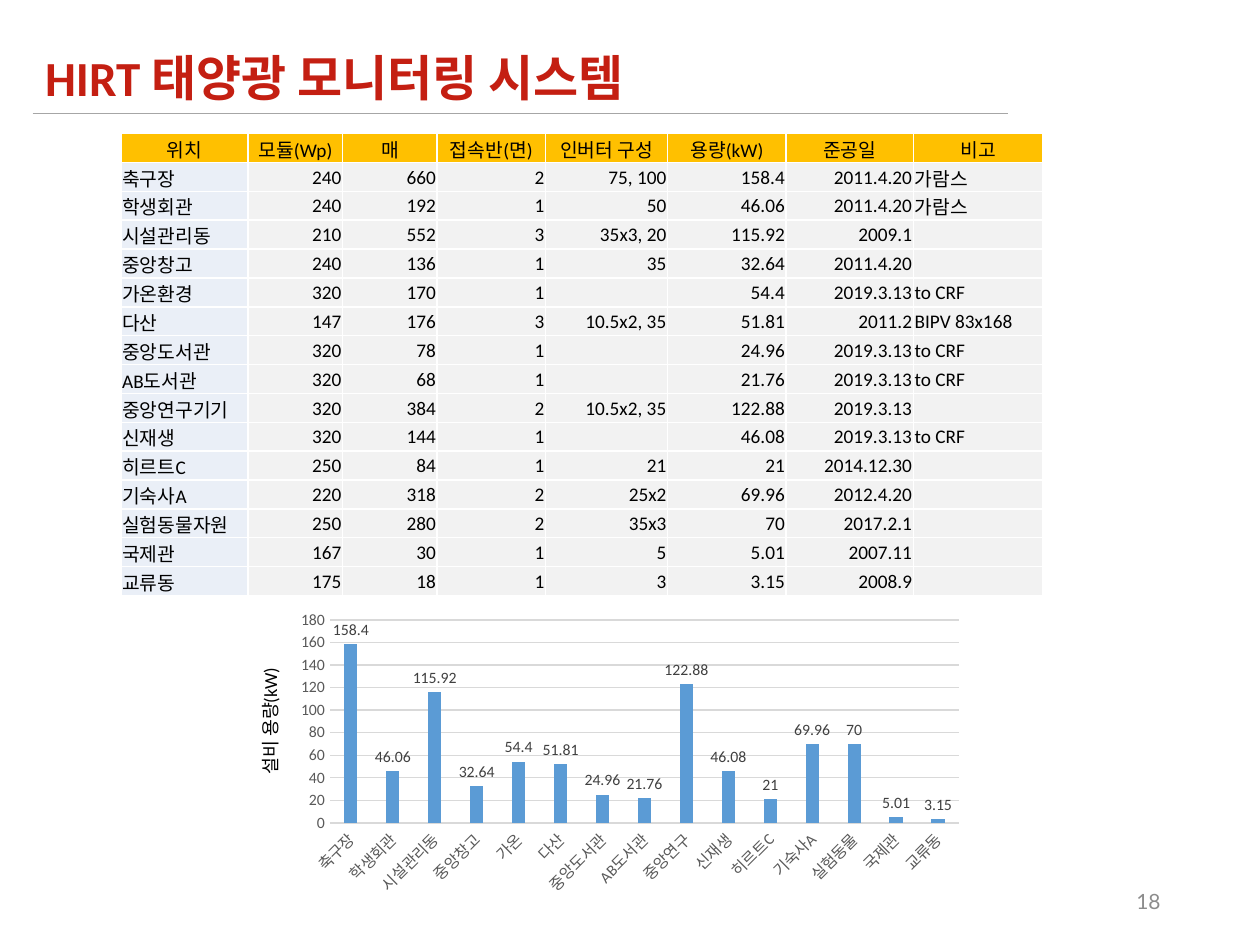
from dataclasses import dataclass

from lxml.etree import SubElement
from pptx import Presentation
from pptx.chart.data import CategoryChartData
from pptx.dml.color import RGBColor
from pptx.enum.chart import XL_CHART_TYPE as ChartType, XL_LABEL_POSITION as LabelPos
from pptx.enum.chart import XL_TICK_MARK as Tick
from pptx.enum.shapes import MSO_CONNECTOR
from pptx.enum.text import MSO_ANCHOR as Anchor, PP_ALIGN as Align
from pptx.oxml.ns import qn
from pptx.util import Inches, Pt

COLORS = {
    "title": "C41F12", "rule": "A6A6A6", "page": "8C8C8C", "text": "000000",
    "header": "FFC000", "place": "EAEFF7", "body": "F2F2F2", "border": "FFFFFF",
    "bar": "5B9BD5", "grid": "D9D9D9", "axis": "595959", "label": "404040",
}
FONT = "Calibri"
SLIDE_W, SLIDE_H = Inches(10), Inches(7.5)
GRID_COLS, GRID_ROWS = 100, 75


@dataclass(frozen=True)
class Box:
    """Place on the slide, in grid columns and rows."""
    col: float
    row: float
    cols: float
    rows: float

    def emu(self) -> tuple[int, int, int, int]:
        return x(self.col), y(self.row), x(self.cols), y(self.rows)


@dataclass(frozen=True)
class Label:
    text: str
    box: Box
    size: float
    color: str
    font: str = FONT
    bold: bool = False
    align: Align = Align.LEFT
    anchor: Anchor = Anchor.TOP
    rotation: int = 0
    wrap: bool = True


@dataclass(frozen=True)
class Plant:
    place: str
    module: str
    panels: str
    boxes: str
    inverter: str
    kw: str
    built: str
    note: str = ""
    short: str = ""

    def cells(self) -> list[str]:
        return [self.place, self.module, self.panels, self.boxes,
                self.inverter, self.kw, self.built, self.note]


LABELS = [
    Label("18", Box(70.6, 69.5, 22.5, 4), 12, "page", "Lato",
          align=Align.RIGHT, anchor=Anchor.MIDDLE),
    Label("HIRT 태양광 모니터링 시스템", Box(2.6, 3.3, 88.4, 5.7), 28, "title", bold=True),
    Label("설비 용량(kW)", Box(15.9, 55.5, 11.1, 2.8), 10.5, "text", rotation=270, wrap=False),
]
HEADERS = ["위치", "모듈(Wp)", "매", "접속반(면)", "인버터 구성", "용량(kW)", "준공일", "비고"]
COL_WIDTHS = [10.1, 7.5, 7.5, 8.6, 9.7, 9.4, 10.1, 10.3]
PLANTS = [
    Plant("축구장", "240", "660", "2", "75, 100", "158.4", "2011.4.20", "가람스"),
    Plant("학생회관", "240", "192", "1", "50", "46.06", "2011.4.20", "가람스"),
    Plant("시설관리동", "210", "552", "3", "35x3, 20", "115.92", "2009.1"),
    Plant("중앙창고", "240", "136", "1", "35", "32.64", "2011.4.20"),
    Plant("가온환경", "320", "170", "1", "", "54.4", "2019.3.13", "to CRF", "가온"),
    Plant("다산", "147", "176", "3", "10.5x2, 35", "51.81", "2011.2", "BIPV 83x168"),
    Plant("중앙도서관", "320", "78", "1", "", "24.96", "2019.3.13", "to CRF"),
    Plant("AB도서관", "320", "68", "1", "", "21.76", "2019.3.13", "to CRF"),
    Plant("중앙연구기기", "320", "384", "2", "10.5x2, 35", "122.88", "2019.3.13", short="중앙연구"),
    Plant("신재생", "320", "144", "1", "", "46.08", "2019.3.13", "to CRF"),
    Plant("히르트C", "250", "84", "1", "21", "21", "2014.12.30"),
    Plant("기숙사A", "220", "318", "2", "25x2", "69.96", "2012.4.20"),
    Plant("실험동물자원", "250", "280", "2", "35x3", "70", "2017.2.1", short="실험동물"),
    Plant("국제관", "167", "30", "1", "5", "5.01", "2007.11"),
    Plant("교류동", "175", "18", "1", "3", "3.15", "2008.9"),
]


def x(cols: float) -> int:
    return round(SLIDE_W * cols / GRID_COLS)


def y(rows: float) -> int:
    return round(SLIDE_H * rows / GRID_ROWS)


def rgb(name: str) -> RGBColor:
    return RGBColor.from_string(COLORS[name])


def style(font, size: float, color: str, name: str = FONT, bold: bool = False) -> None:
    font.size, font.name, font.bold = Pt(size), name, bold
    font.color.rgb = rgb(color)


def add_label(slide, label: Label) -> None:
    sp = slide.shapes.add_textbox(*label.box.emu())
    sp.rotation = label.rotation
    tf = sp.text_frame
    tf.word_wrap, tf.vertical_anchor = label.wrap, label.anchor
    p = tf.paragraphs[0]
    p.text, p.alignment = label.text, label.align
    style(p.font, label.size, label.color, label.font, label.bold)


def add_rule(slide, left: float, right: float, row: float) -> None:
    line = slide.shapes.add_connector(MSO_CONNECTOR.STRAIGHT, x(left), y(row), x(right), y(row))
    line.line.color.rgb, line.line.width = rgb("rule"), Pt(0.5)
    SubElement(line._element.spPr, qn("a:effectLst"))


def add_borders(cell) -> None:
    tc_pr = cell._tc.get_or_add_tcPr()
    for side in "LRTB":
        ln = SubElement(tc_pr, qn(f"a:ln{side}"), w=str(Pt(1)))
        fill = SubElement(ln, qn("a:solidFill"))
        SubElement(fill, qn("a:srgbClr"), val=COLORS["border"])


def fill_cell(cell, text: str, fill: str, align: Align) -> None:
    add_borders(cell)
    cell.fill.solid()
    cell.fill.fore_color.rgb = rgb(fill)
    cell.margin_left = cell.margin_right = cell.margin_top = Inches(0.01)
    cell.margin_bottom = 0
    cell.vertical_anchor = Anchor.MIDDLE
    p = cell.text_frame.paragraphs[0]
    p.text, p.alignment = text, align
    style(p.font, 11, "text")
    if not text:
        SubElement(p._p, qn("a:endParaRPr"), sz="1100")


def add_plant_table(slide, box: Box) -> None:
    rows = [HEADERS] + [plant.cells() for plant in PLANTS]
    table = slide.shapes.add_table(len(rows), len(HEADERS), *box.emu()).table
    for column, width in zip(table.columns, COL_WIDTHS):
        column.width = x(width)
    for i, texts in enumerate(rows):
        table.rows[i].height = y(box.rows / len(rows))
        for j, text in enumerate(texts):
            if i == 0:
                fill, align = "header", Align.CENTER
            else:
                fill = "place" if j == 0 else "body"
                align = Align.LEFT if j in (0, len(texts) - 1) else Align.RIGHT
            fill_cell(table.cell(i, j), text, fill, align)


def add_capacity_chart(slide, box: Box) -> None:
    data = CategoryChartData()
    data.categories = [plant.short or plant.place for plant in PLANTS]
    data.add_series("Series 1", [float(plant.kw) for plant in PLANTS])
    chart = slide.shapes.add_chart(ChartType.COLUMN_CLUSTERED, *box.emu(), data).chart
    chart.has_legend = chart.has_title = False
    style(chart.font, 10, "text")

    plot = chart.plots[0]
    plot.gap_width, plot.overlap, plot.vary_by_categories = 219, -27, False
    bars = plot.series[0].format.fill
    bars.solid()
    bars.fore_color.rgb = rgb("bar")
    plot.has_data_labels = True
    labels = plot.data_labels
    labels.show_value, labels.position = True, LabelPos.OUTSIDE_END
    style(labels.font, 9, "label")

    cat, val = chart.category_axis, chart.value_axis
    for axis in (cat, val):
        axis.major_tick_mark = axis.minor_tick_mark = Tick.NONE
        style(axis.tick_labels.font, 9, "axis")
    cat._element.txPr.find(qn("a:bodyPr")).set("rot", "-2700000")
    val.minimum_scale, val.maximum_scale, val.major_unit = 0, 180, 20
    val.format.line.fill.background()
    for line in (cat.format.line, val.major_gridlines.format.line):
        line.color.rgb, line.width = rgb("grid"), Pt(0.75)


def main() -> None:
    prs = Presentation()
    prs.slide_width, prs.slide_height = SLIDE_W, SLIDE_H
    slide = prs.slides.add_slide(prs.slide_layouts[6])
    page, title, axis_title = LABELS
    add_label(slide, page)
    add_label(slide, title)
    add_rule(slide, 2.6, 80, 9)
    add_plant_table(slide, Box(9.6, 10.6, sum(COL_WIDTHS), 36.7))
    add_capacity_chart(slide, Box(22.8, 48, 54.4, 23.5))
    add_label(slide, axis_title)
    prs.save("out.pptx")


if __name__ == "__main__":
    main()
